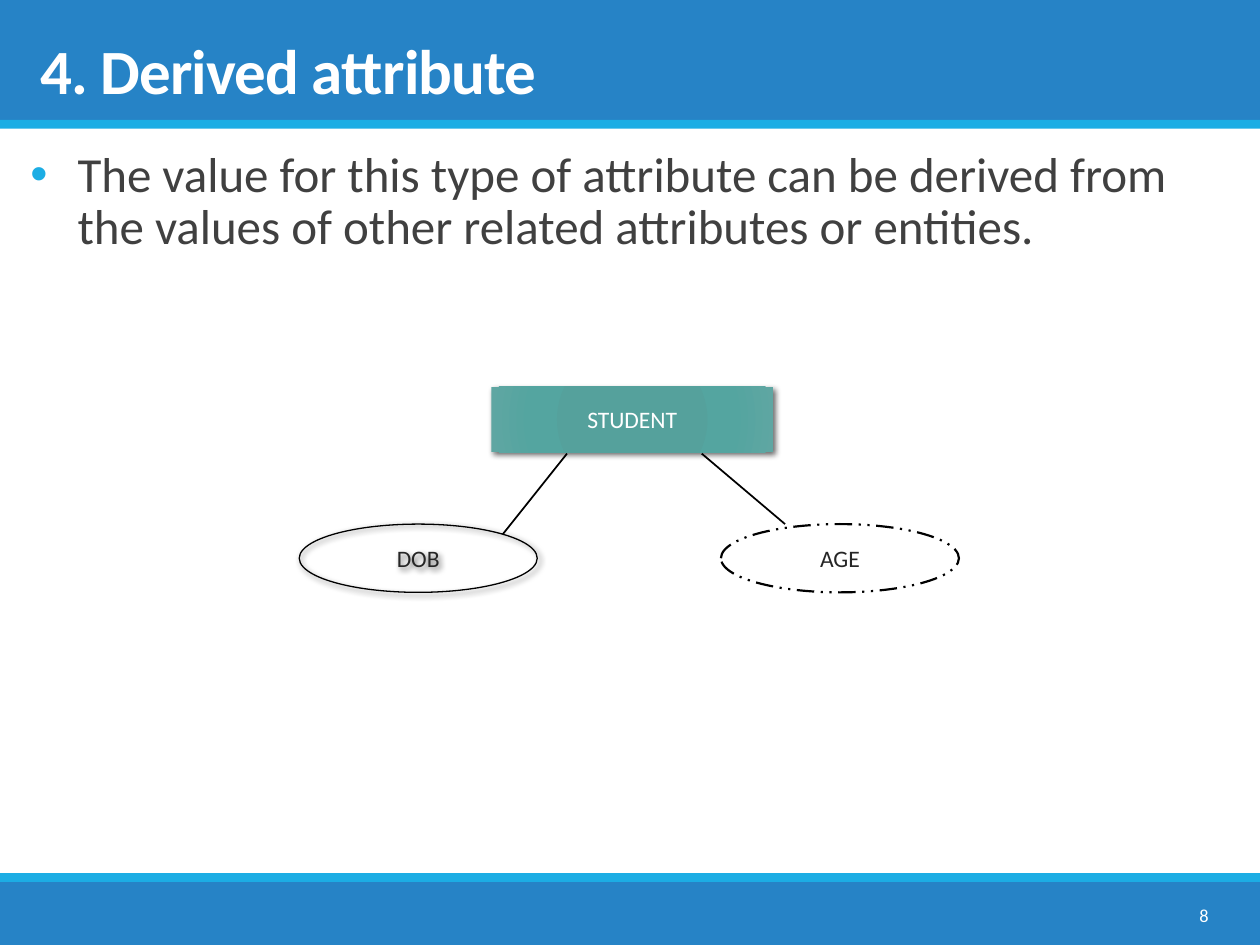
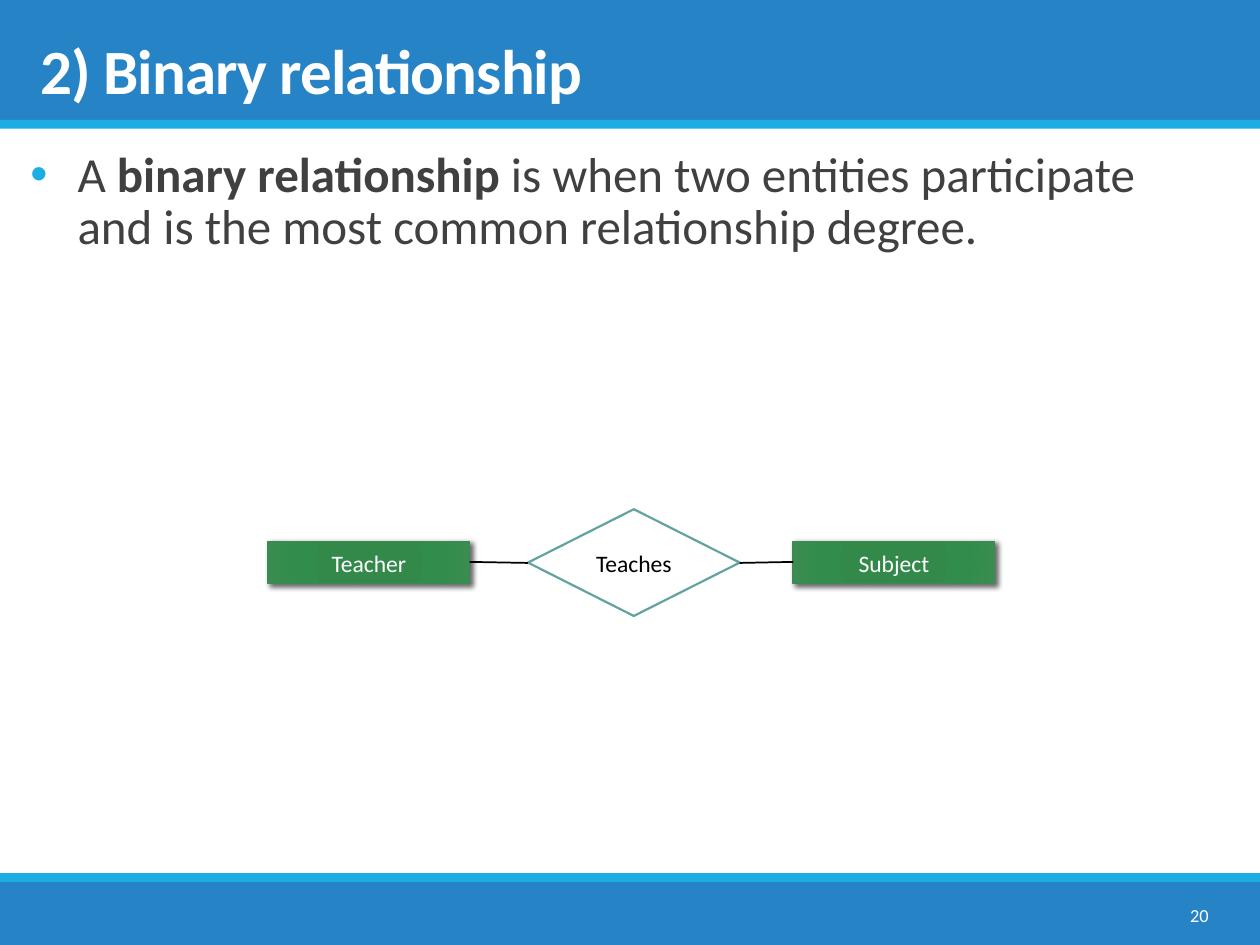
from dataclasses import dataclass

from lxml.etree import SubElement
from pptx import Presentation
from pptx.dml.color import RGBColor
from pptx.enum.dml import MSO_LINE
from pptx.enum.shapes import MSO_CONNECTOR, MSO_SHAPE
from pptx.enum.text import MSO_ANCHOR, MSO_AUTO_SIZE, PP_ALIGN
from pptx.oxml.ns import qn
from pptx.util import Pt

FONT = "Calibri"
BLUE, SKY, WHITE, BLACK = "2683C6", "1CADE4", "FFFFFF", "000000"
BODY_GREY, LABEL_GREY = "404040", "262626"
TEAL_STOPS = ((0, "52A19C"), (34, "55A19C"), (70, "54A5A0"), (100, "5FA6A2"))
GREEN_STOPS = ((0, "2F8949"), (34, "32894A"), (70, "318D4B"), (100, "3A8C51"))
PAGE_WIDTH, PAGE_HEIGHT = 720, 540


@dataclass(frozen=True)
class Node:
    label: str
    kind: MSO_SHAPE
    left: float
    top: float
    width: float
    height: float
    text_color: str = LABEL_GREY
    fill: str | None = None
    stops: tuple = ()
    line: str | None = None
    line_width: float = 1
    dash: MSO_LINE | None = None
    shadow_blur: float = 0


@dataclass(frozen=True)
class Link:
    start: tuple[float, float]
    end: tuple[float, float]


@dataclass(frozen=True)
class Topic:
    title: str
    number: int
    body: tuple[tuple[str, bool], ...]
    nodes: tuple[Node, ...]
    links: tuple[Link, ...]


BANDS = (
    Node("", MSO_SHAPE.RECTANGLE, 0, 0, PAGE_WIDTH, 69, fill=BLUE),
    Node("", MSO_SHAPE.RECTANGLE, 0, 504, PAGE_WIDTH, 36, fill=BLUE),
    Node("", MSO_SHAPE.RECTANGLE, 0, 499, PAGE_WIDTH, 5, fill=SKY),
    Node("", MSO_SHAPE.RECTANGLE, 0, 68.5, PAGE_WIDTH, 5, fill=SKY),
)


def entity(label: str, left: float) -> Node:
    """Describe a green entity box on the relationship row."""
    return Node(label, MSO_SHAPE.RECTANGLE, left, 309.5, 115, 24, WHITE,
                stops=GREEN_STOPS, line="3E8853", shadow_blur=3)


TOPICS = (
    Topic(
        "4. Derived attribute", 8,
        (("The value for this type of attribute can be derived from "
          "the values of other related attributes or entities.", False),),
        (Node("STUDENT", MSO_SHAPE.RECTANGLE, 280.8, 221, 161, 37.5, WHITE,
              stops=TEAL_STOPS, shadow_blur=3.5),
         Node("DOB", MSO_SHAPE.OVAL, 171, 299.5, 136, 39,
              line=BLACK, line_width=0.75, shadow_blur=3.5),
         Node("AGE", MSO_SHAPE.OVAL, 412, 299.5, 136, 39,
              line=BLACK, line_width=1.25, dash=MSO_LINE.DASH_DOT_DOT)),
        (Link((287.3, 305.3), (324, 259.2)), Link((401, 259.2), (448.6, 299.5))),
    ),
    Topic(
        "2) Binary relationship", 20,
        (("A ", False), ("binary relationship ", True),
         ("is when two entities participate and is the most common "
          "relationship degree.", False)),
        (entity("Teacher", 153.3), entity("Subject", 453.3),
         Node("Teaches", MSO_SHAPE.DIAMOND, 301.7, 291, 121, 61, BLACK,
              fill=WHITE, line="62A39F", line_width=1.25)),
        (Link((268.3, 321.1), (301.7, 321.7)), Link((422.7, 321.7), (453.3, 321.1))),
    ),
)


def color(value: str) -> RGBColor:
    """Turn a hex string into a colour."""
    return RGBColor.from_string(value)


def style_span(span, size: float, text_color: str, bold: bool = False) -> None:
    """Format one run."""
    span.font.name, span.font.size, span.font.bold = FONT, Pt(size), bold
    span.font.color.rgb = color(text_color)


def set_gradient(shape, stops: tuple) -> None:
    """Give a shape a circular gradient fill."""
    shape.fill.background()
    empty = shape.element.spPr.find(qn("a:noFill"))
    gradient = empty.makeelement(qn("a:gradFill"), {"rotWithShape": "1"})
    stop_list = SubElement(gradient, qn("a:gsLst"))
    for position, value in stops:
        stop = SubElement(stop_list, qn("a:gs"), pos=str(position * 1000))
        SubElement(stop, qn("a:srgbClr"), val=value)
    circle = SubElement(gradient, qn("a:path"), path="circle")
    SubElement(circle, qn("a:fillToRect"), {side: "100000" for side in "ltrb"})
    empty.getparent().replace(empty, gradient)


def set_shadow(shape, blur: float) -> None:
    """Give a shape a soft shadow falling to the lower right."""
    effects = shape.element.spPr.find(qn("a:effectLst"))
    shadow = SubElement(effects, qn("a:outerShdw"), blurRad=str(Pt(blur)), dist=str(Pt(2)),
                        dir="2700000", algn="br", rotWithShape="0")
    tint = SubElement(shadow, qn("a:srgbClr"), val=BLACK)
    SubElement(tint, qn("a:alpha"), val="60000")


def draw_node(page, node: Node) -> None:
    """Draw one preset shape with its label."""
    shape = page.shapes.add_shape(node.kind, Pt(node.left), Pt(node.top),
                                  Pt(node.width), Pt(node.height))
    shape.shadow.inherit = False
    if node.stops:
        set_gradient(shape, node.stops)
    elif node.fill:
        shape.fill.solid()
        shape.fill.fore_color.rgb = color(node.fill)
    else:
        shape.fill.background()
    if node.line:
        shape.line.color.rgb = color(node.line)
        shape.line.width = Pt(node.line_width)
        if node.dash:
            shape.line.dash_style = node.dash
    else:
        shape.line.fill.background()
    if node.shadow_blur:
        set_shadow(shape, node.shadow_blur)
    if node.label:
        frame = shape.text_frame
        frame.margin_left = frame.margin_right = 0
        frame.text = node.label
        frame.vertical_anchor = MSO_ANCHOR.MIDDLE
        para = frame.paragraphs[0]
        para.alignment = PP_ALIGN.CENTER
        style_span(para.runs[0], 13.5, node.text_color)


def draw_link(page, link: Link) -> None:
    """Draw a thin black line between two points."""
    points = [Pt(value) for value in (*link.start, *link.end)]
    connector = page.shapes.add_connector(MSO_CONNECTOR.STRAIGHT, *points)
    connector.line.color.rgb = color(BLACK)
    connector.line.width = Pt(1)
    SubElement(connector.element.spPr, qn("a:effectLst"))


def draw_title(page, text: str) -> None:
    """Place and format the title above the header band."""
    title = page.shapes.title
    title.element.getparent().append(title.element)
    title.left, title.top, title.width, title.height = Pt(15.8), Pt(5), Pt(686), Pt(60)
    frame = title.text_frame
    frame.text = text
    frame.word_wrap, frame.auto_size = True, MSO_AUTO_SIZE.NONE
    frame.vertical_anchor = MSO_ANCHOR.BOTTOM
    para = frame.paragraphs[0]
    para.alignment, para.line_spacing = PP_ALIGN.LEFT, 0.85
    span = para.runs[0]
    style_span(span, 36, WHITE, True)
    span.font._element.set("spc", "-50")


def draw_body(page, spans: tuple[tuple[str, bool], ...]) -> None:
    """Write the bulleted statement below the header."""
    box = page.shapes.add_textbox(Pt(17.3), Pt(82), Pt(680), Pt(407.5))
    frame = box.text_frame
    frame.word_wrap = True
    frame.margin_left = frame.margin_right = 0
    para = frame.paragraphs[0]
    para.line_spacing, para.space_after = 0.9, Pt(2)
    properties = para._p.get_or_add_pPr()
    properties.set("marL", str(Pt(27)))
    properties.set("indent", str(-Pt(27)))
    SubElement(SubElement(properties, qn("a:buClr")), qn("a:srgbClr"), val=SKY)
    SubElement(properties, qn("a:buFont"), typeface="Arial")
    SubElement(properties, qn("a:buChar"), char="•")
    for text, bold in spans:
        span = para.add_run()
        span.text = text
        style_span(span, 28, BODY_GREY, bold)


def draw_number(page, number: int) -> None:
    """Write the slide number in the footer band."""
    box = page.shapes.add_textbox(Pt(620), Pt(508.5), Pt(77.7), Pt(28.8))
    frame = box.text_frame
    frame.word_wrap = True
    frame.vertical_anchor = MSO_ANCHOR.MIDDLE
    frame.text = str(number)
    para = frame.paragraphs[0]
    para.alignment = PP_ALIGN.RIGHT
    style_span(para.runs[0], 10.5, WHITE)


def draw_topic(deck, topic: Topic) -> None:
    """Build one slide."""
    page = deck.slides.add_slide(deck.slide_layouts.get_by_name("Title Only"))
    for band in BANDS:
        draw_node(page, band)
    draw_title(page, topic.title)
    draw_body(page, topic.body)
    for node in topic.nodes:
        draw_node(page, node)
    for link in topic.links:
        draw_link(page, link)
    draw_number(page, topic.number)


def main() -> None:
    """Build and save the deck."""
    deck = Presentation()
    deck.slide_width, deck.slide_height = Pt(PAGE_WIDTH), Pt(PAGE_HEIGHT)
    for topic in TOPICS:
        draw_topic(deck, topic)
    deck.save("out.pptx")


if __name__ == "__main__":
    main()
